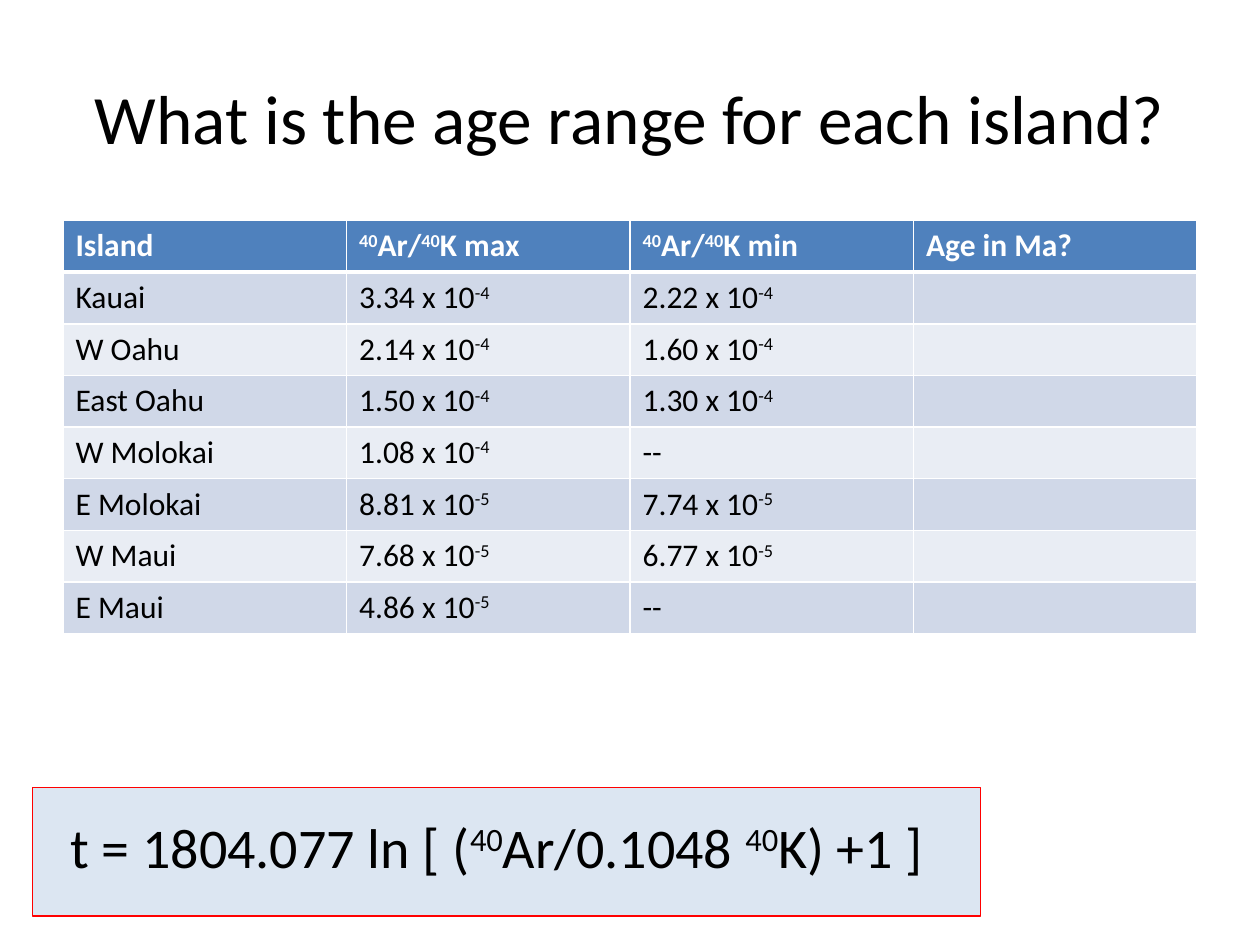
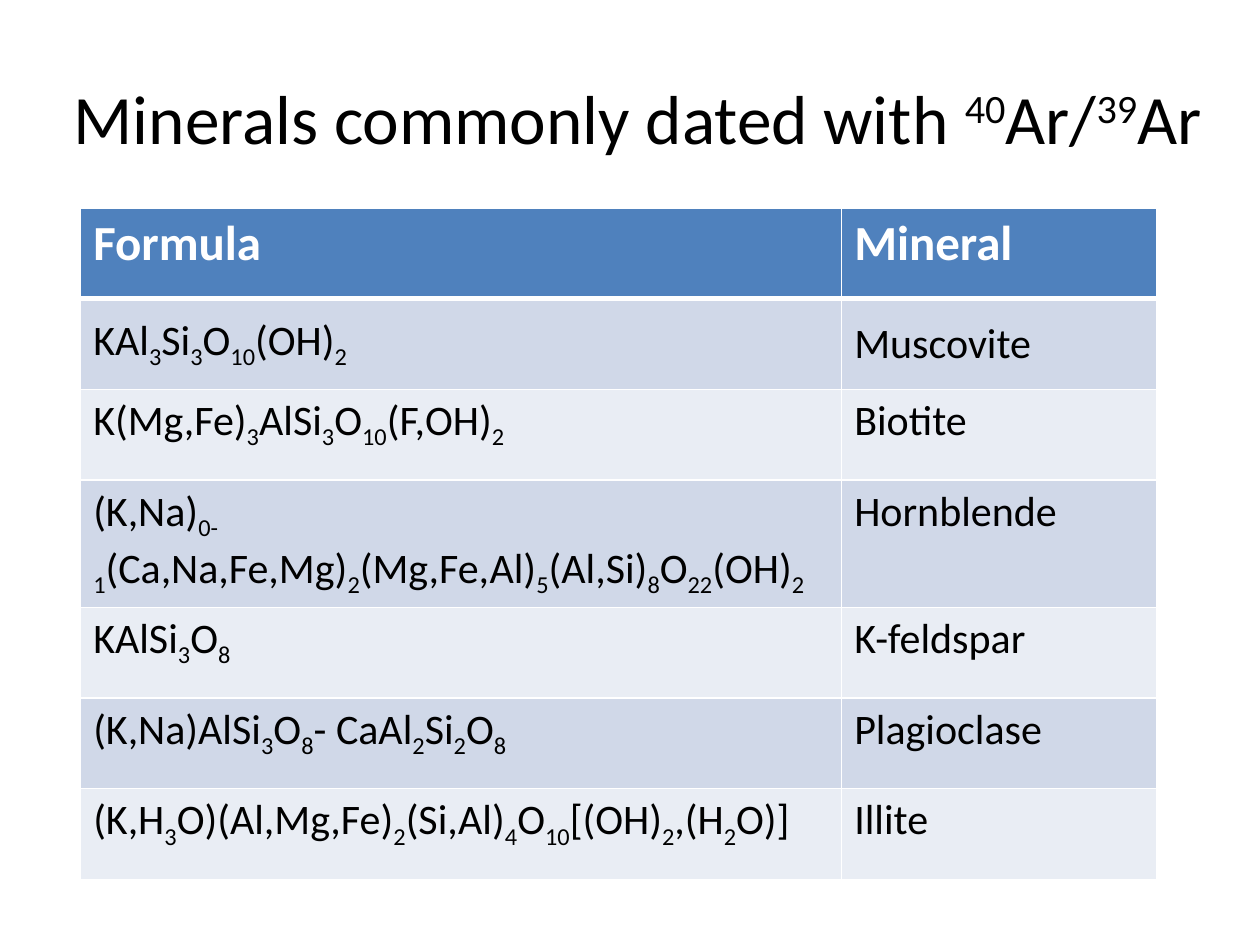
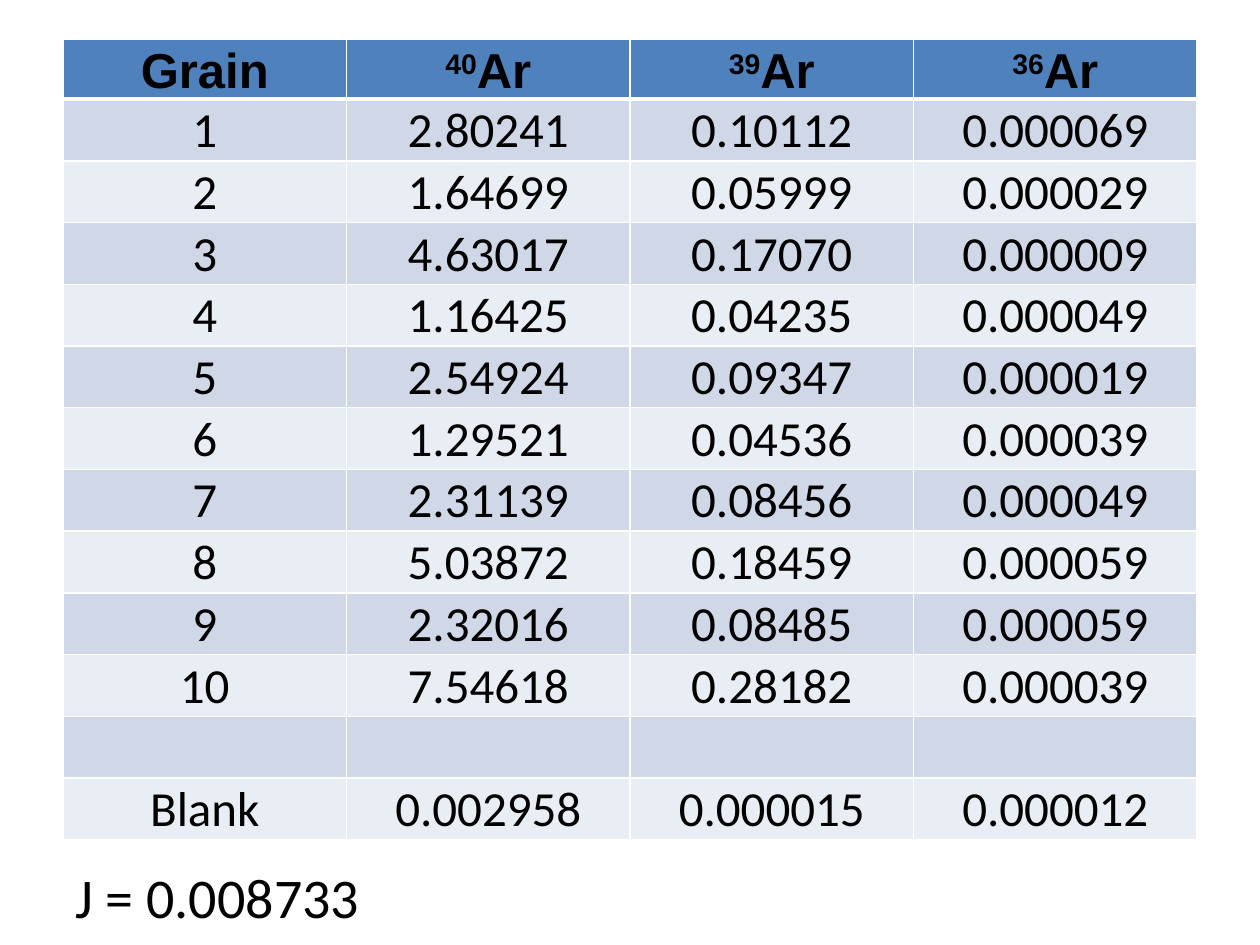
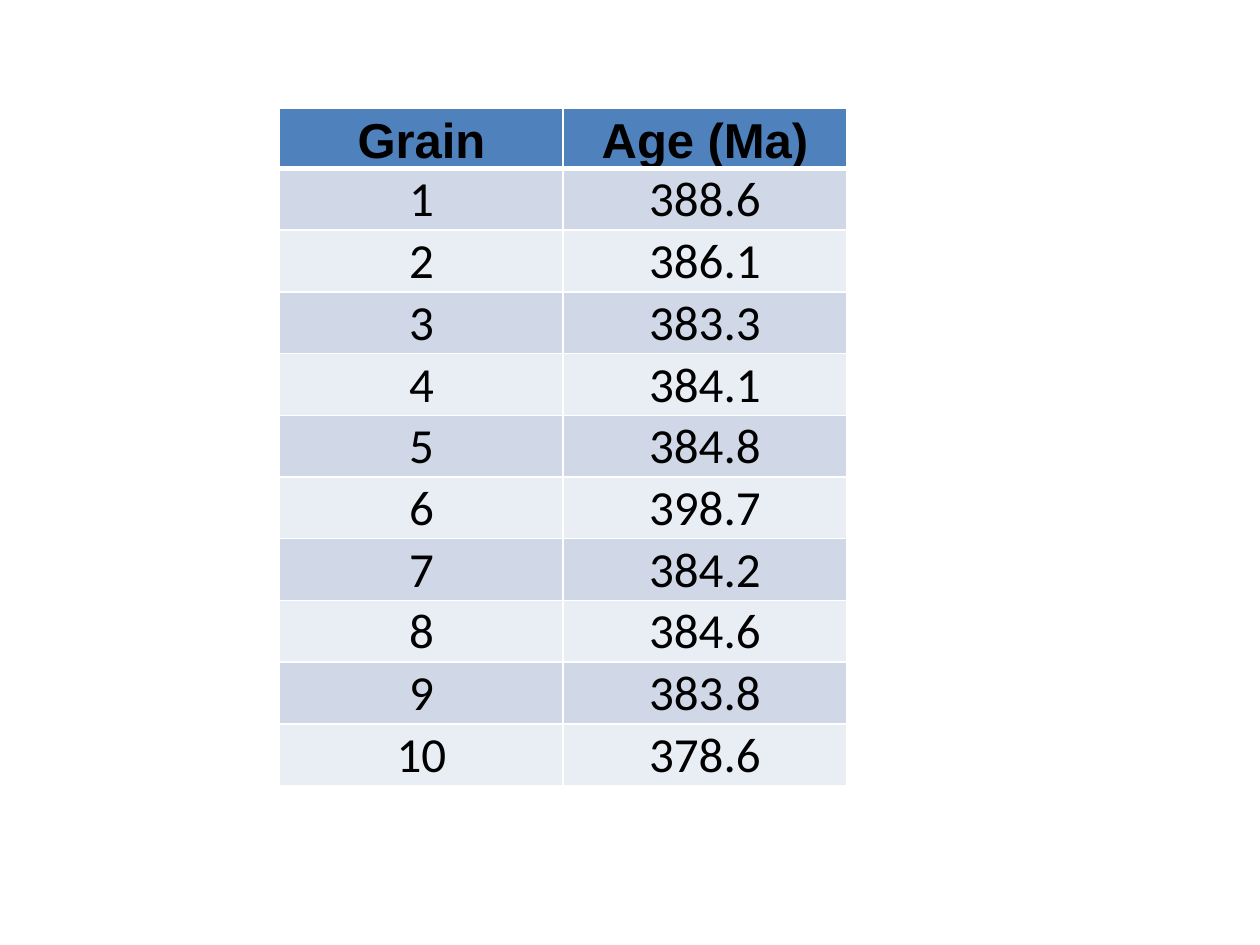
"""Builds four slides on argon dating, each around a ruled table."""
from lxml.etree import SubElement as Sub
from pptx import Presentation
from pptx.dml.color import RGBColor as RGB
from pptx.enum.shapes import MSO_SHAPE as Shape
from pptx.enum.text import MSO_ANCHOR as Anchor, MSO_AUTO_SIZE as Fit, PP_ALIGN as Align
from pptx.oxml.ns import qn
from pptx.util import Inches, Pt

HUES = {
    "ink": "000000", "white": "FFFFFF", "head": "4F81BD", "odd": "D0D8E8",
    "even": "E9EDF4", "pale": "DCE6F2", "red": "FF0000",
}
SUPER, LOWER = 30000, -25000
TIGHT = (0.01, 0.01, 0.01, 0)

ISLES = [
    ["Island", "^40^Ar/^40^K max", "^40^Ar/^40^K min", "Age in Ma?"],
    ["Kauai", "3.34 x 10^-4", "2.22 x 10^-4", ""],
    ["W Oahu", "2.14 x 10^-4", "1.60 x 10^-4", ""],
    ["East Oahu", "1.50 x 10^-4", "1.30 x 10^-4", ""],
    ["W Molokai", "1.08 x 10^-4", "--", ""],
    ["E Molokai", "8.81 x 10^-5", "7.74 x 10^-5", ""],
    ["W Maui", "7.68 x 10^-5", "6.77 x 10^-5", ""],
    ["E Maui", "4.86 x 10^-5", "--", ""],
]
ROCKS = [
    ["Formula", "Mineral"],
    ["KAl^3^Si^3^O^10^(OH)^2", "Muscovite"],
    ["K(Mg,Fe)^3^AlSi^3^O^10^(F,OH)^2", "Biotite"],
    ["(K,Na)^0-1^(Ca,Na,Fe,Mg)^2^(Mg,Fe,Al)^5^(Al,Si)^8^O^22^(OH)^2", "Hornblende"],
    ["KAlSi^3^O^8", "K-feldspar"],
    ["(K,Na)AlSi^3^O^8^- CaAl^2^Si^2^O^8", "Plagioclase"],
    ["(K,H^3^O)(Al,Mg,Fe)^2^(Si,Al)^4^O^10^[(OH)^2^,(H^2^O)]", "Illite"],
]
GRAINS = [
    ["Grain", "^40^Ar", "^39^Ar", "^36^Ar"],
    ["1", "2.80241", "0.10112", "0.000069"],
    ["2", "1.64699", "0.05999", "0.000029"],
    ["3", "4.63017", "0.17070", "0.000009"],
    ["4", "1.16425", "0.04235", "0.000049"],
    ["5", "2.54924", "0.09347", "0.000019"],
    ["6", "1.29521", "0.04536", "0.000039"],
    ["7", "2.31139", "0.08456", "0.000049"],
    ["8", "5.03872", "0.18459", "0.000059"],
    ["9", "2.32016", "0.08485", "0.000059"],
    ["10", "7.54618", "0.28182", "0.000039"],
    ["", "", "", ""],
    ["Blank", "0.002958", "0.000015", "0.000012"],
]
DATES = [388.6, 386.1, 383.3, 384.1, 384.8, 398.7, 384.2, 384.6, 383.8, 378.6]
AGES = [["Grain", "Age (Ma)"]] + [[str(n), str(age)] for n, age in enumerate(DATES, 1)]


def hue(name):
    """Return a named colour."""
    return RGB.from_string(HUES[name])


def write(frame, text, size, face="Calibri", ink="ink", bold=False, align=Align.LEFT, shift=SUPER):
    """Fill a frame with one paragraph whose parts between carets are shifted."""
    para = frame.paragraphs[0]
    para.alignment = align
    font = para.font
    font.size, font.name, font.bold = Pt(size), face, bold
    font.color.rgb = hue(ink)
    for n, part in enumerate(text.split("^")):
        if part:
            run = para.add_run()
            run.text = part
            if n % 2:
                run._r.get_or_add_rPr().set("baseline", str(shift))


def add_text(slide, box):
    """Add an empty text box and return its frame."""
    return slide.shapes.add_textbox(*map(Inches, box)).text_frame


def add_title(slide, box, text):
    """Place a centred slide title in the box."""
    frame = add_text(slide, box)
    frame.word_wrap = True
    frame.vertical_anchor = Anchor.MIDDLE
    write(frame, text, 39.6, align=Align.CENTER)


def add_note(slide, box, text):
    """Place one large line that does not wrap."""
    frame = add_text(slide, box)
    frame.word_wrap = False
    frame.auto_size = Fit.SHAPE_TO_FIT_TEXT
    write(frame, text, 32)


def add_rule(slide, box, text):
    """Place a formula on a pale panel with a red edge."""
    left, top, wide, high = box
    panel = slide.shapes.add_shape(Shape.RECTANGLE, *map(Inches, box))
    panel.shadow.inherit = False
    panel.fill.solid()
    panel.fill.fore_color.rgb = hue("pale")
    panel.line.color.rgb = hue("red")
    panel.line.width = Pt(0.75)
    add_note(slide, (left + 0.2, top + 0.15, wide - 0.41, 0.64), text)


def edge(cell, row):
    """Draw white cell borders, thick below the header row."""
    props = cell._tc.get_or_add_tcPr()
    thick = {0: "lnB", 1: "lnT"}.get(row)
    for side in ("lnL", "lnR", "lnT", "lnB"):
        line = Sub(props, qn("a:" + side), w=str(Pt(3 if side == thick else 1)))
        fill = Sub(line, qn("a:solidFill"))
        Sub(fill, qn("a:srgbClr"), val=HUES["white"])


def add_grid(slide, spot, cols, rows, highs, head, body, inset=None, anchor=Anchor.TOP):
    """Place a banded table at the spot, with header and body text styles."""
    sizes = [highs[0]] + [highs[1]] * (len(rows) - 1)
    box = (*spot, sum(cols), sum(sizes))
    table = slide.shapes.add_table(len(rows), len(cols), *map(Inches, box)).table
    table.horz_banding = False
    for col, wide in zip(table.columns, cols):
        col.width = Inches(wide)
    for r, (line, high) in enumerate(zip(rows, sizes)):
        table.rows[r].height = Inches(high)
        for c, text in enumerate(line):
            cell = table.cell(r, c)
            edge(cell, r)
            cell.fill.solid()
            cell.fill.fore_color.rgb = hue("odd" if r % 2 else "even") if r else hue("head")
            cell.vertical_anchor = anchor
            if inset:
                (cell.margin_left, cell.margin_top,
                 cell.margin_right, cell.margin_bottom) = map(Inches, inset)
            write(cell.text_frame, text, **(body if r else head))
    return table


def add_data(slide, spot, rows):
    """Place a centred table of grain values."""
    body = {"size": 28, "align": Align.CENTER}
    head = {**body, "face": "Arial", "bold": True}
    add_grid(slide, spot, [2.25] * len(rows[0]), rows, (0.45, 0.49), head, body, TIGHT, Anchor.BOTTOM)


def isle_slide(slide):
    """Build the slide on island ages."""
    add_title(slide, (0.5, 0.3, 9, 1.25), "What is the age range for each island?")
    head = {"size": 18, "ink": "white", "bold": True}
    add_grid(slide, (0.5, 1.75), [2.25] * 4, ISLES, (0.41, 0.41), head, {"size": 18})
    add_rule(slide, (0.26, 6.25, 7.52, 1.02), "t = 1804.077 ln [ (^40^Ar/0.1048 ^40^K) +1 ]")


def rock_slide(slide):
    """Build the slide on dated minerals."""
    head = {"size": 28, "ink": "white", "bold": True}
    body = {"size": 24, "shift": LOWER}
    table = add_grid(slide, (0.64, 1.65), [6.04, 2.5], ROCKS, (0.72, 0.72), head, body)
    for cell in table.rows[1].cells:
        cell.vertical_anchor = Anchor.MIDDLE
    add_title(slide, (0.24, 0.3, 9.64, 1.25), "Minerals commonly dated with ^40^Ar/^39^Ar")


def grain_slide(slide):
    """Build the slide of isotope values."""
    add_data(slide, (0.5, 0.31), GRAINS)
    add_note(slide, (0.5, 6.8, 2.48, 0.64), "J = 0.008733")


def age_slide(slide):
    """Build the slide of grain ages."""
    add_data(slide, (2.22, 0.86), AGES)


def main():
    """Build and save the deck."""
    deck = Presentation()
    deck.slide_width, deck.slide_height = Inches(10), Inches(7.5)
    for build in (isle_slide, rock_slide, grain_slide, age_slide):
        build(deck.slides.add_slide(deck.slide_layouts[6]))
    deck.save("out.pptx")


if __name__ == "__main__":
    main()
